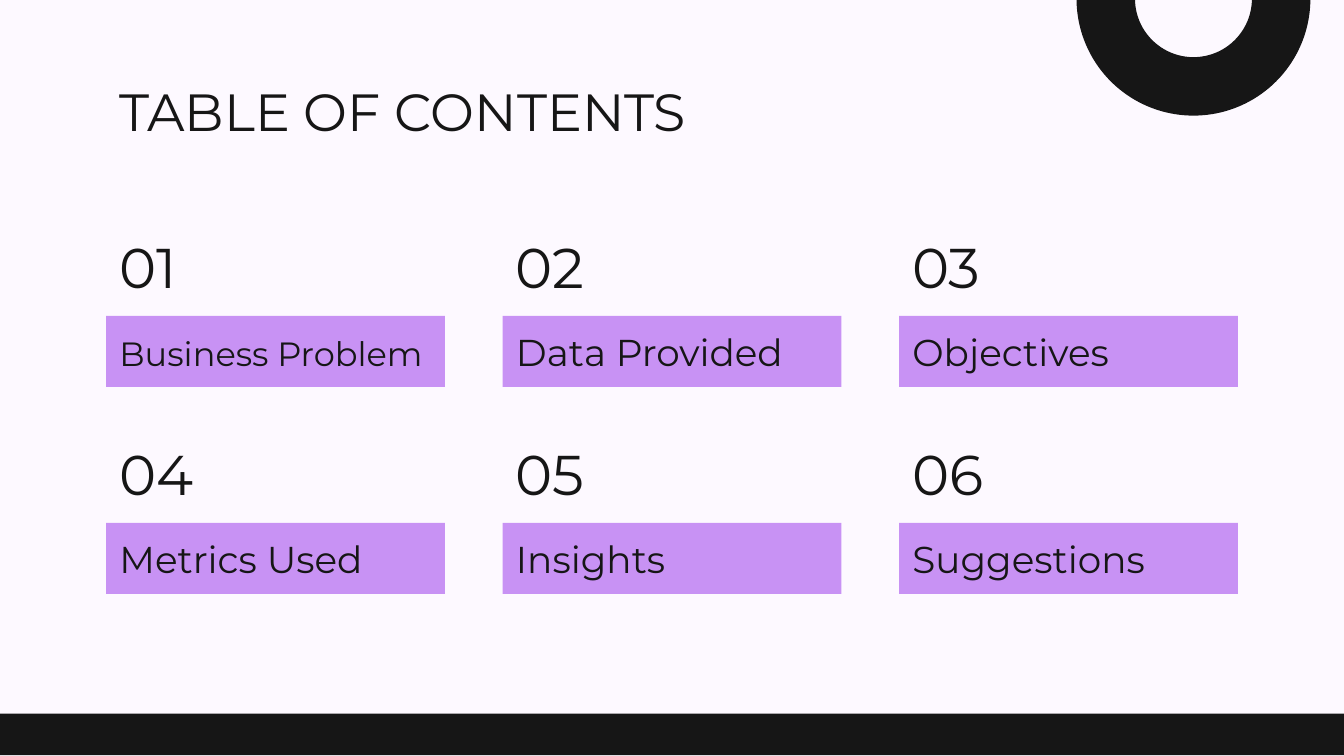
from dataclasses import dataclass

from pptx import Presentation
from pptx.dml.color import RGBColor
from pptx.enum.shapes import MSO_SHAPE
from pptx.enum.text import MSO_ANCHOR, PP_ALIGN
from pptx.util import Pt

RECT = MSO_SHAPE.RECTANGLE
ARC = MSO_SHAPE.BLOCK_ARC
TOP = MSO_ANCHOR.TOP
BOTTOM = MSO_ANCHOR.BOTTOM
LEFT = PP_ALIGN.LEFT

PX = 9144  # EMU in one px, 100 px to the inch


@dataclass(frozen=True)
class Theme:
    font: str = "Montserrat"
    paper: str = "FDF9FF"
    ink: str = "161616"
    accent: str = "C892F4"
    title: int = 28
    number: int = 30
    label: int = 20
    small: int = 18
    inset: int = 10


class Deck:
    def __init__(self, theme, slide):
        self.theme = theme
        self.slide = slide
        back = slide.background.fill
        back.solid()
        back.fore_color.rgb = RGBColor.from_string(theme.paper)

    def shape(self, kind, box, color):
        item = self.slide.shapes.add_shape(kind, *(n * PX for n in box))
        item.shadow.inherit = False
        item.fill.solid()
        item.fill.fore_color.rgb = RGBColor.from_string(color)
        item.line.fill.background()
        return item

    def letter(self, item, words, size, anchor):
        frame = item.text_frame
        frame.word_wrap = True
        frame.vertical_anchor = anchor
        inset = self.theme.inset * PX
        frame.margin_left = frame.margin_right = inset
        frame.margin_top = frame.margin_bottom = inset
        para = frame.paragraphs[0]
        para.alignment = LEFT
        run = para.add_run()
        run.text = words
        run.font.name = self.theme.font
        run.font.size = Pt(size)
        run.font.color.rgb = RGBColor.from_string(self.theme.ink)

    def text(self, box, words, size, anchor=TOP):
        item = self.slide.shapes.add_textbox(*(n * PX for n in box))
        self.letter(item, words, size, anchor)

    def label(self, box, words, size):
        item = self.shape(RECT, box, self.theme.accent)
        self.letter(item, words, size, BOTTOM)


def main():
    theme = Theme()
    prs = Presentation()
    prs.slide_width = 1000 * PX
    prs.slide_height = 5143500
    deck = Deck(theme, prs.slides.add_slide(prs.slide_layouts[6]))

    # Footer band and title
    deck.shape(RECT, (0, 531, 1000, 31), theme.ink)
    deck.text((79, 49, 843, 63), "TABLE OF CONTENTS", theme.title)

    # Topics in a grid of three columns
    topics = [
        ("Business Problem", theme.small),
        ("Data Provided", theme.label),
        ("Objectives", theme.label),
        ("Metrics Used", theme.label),
        ("Insights", theme.label),
        ("Suggestions", theme.label),
    ]
    for i, (words, size) in enumerate(topics):
        row, col = divmod(i, 3)
        x = 79 + col * 295
        y = 180 + row * 154
        deck.text((x, y, 80, 53), f"{i + 1:02}", theme.number, BOTTOM)
        deck.label((x, y + 55, 252, 53), words, size)

    # Half ring at the top edge
    ring = deck.shape(ARC, (801, -88, 174, 174), theme.ink)
    ring.rotation = 180

    prs.save("out.pptx")


if __name__ == "__main__":
    main()
